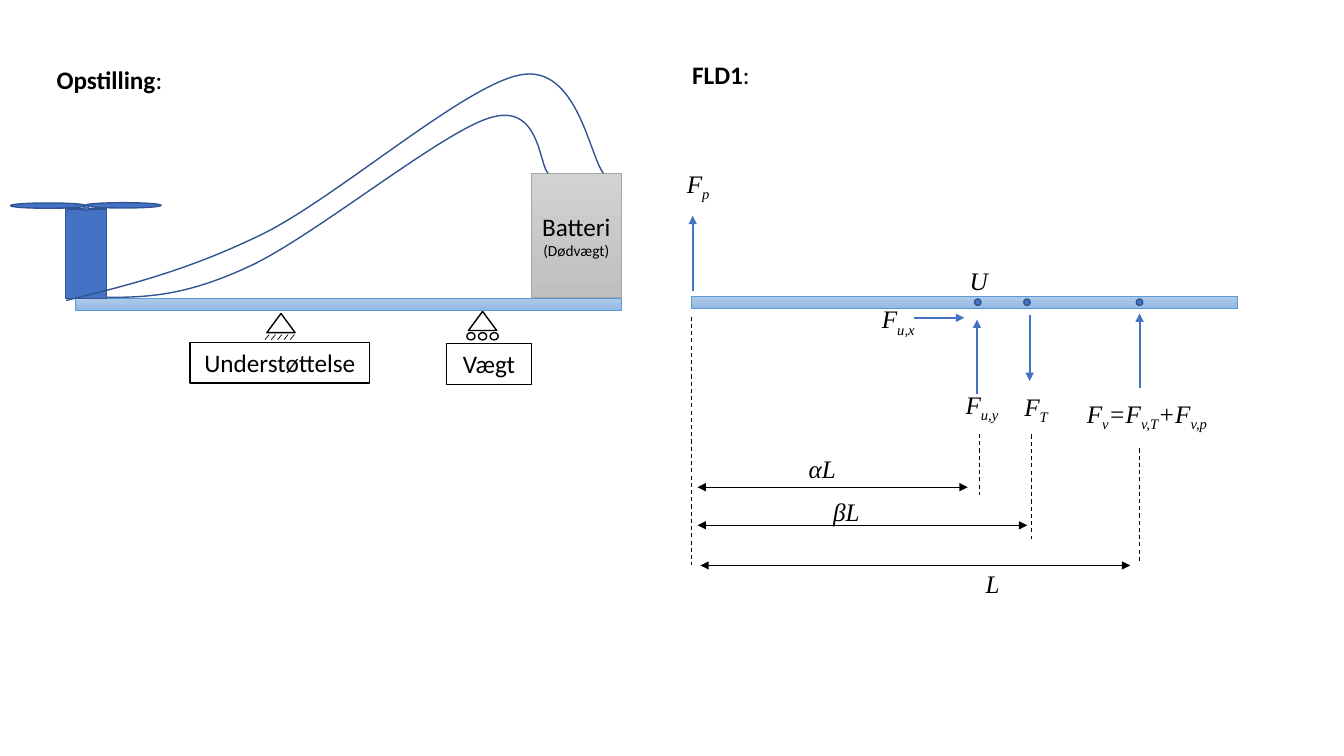
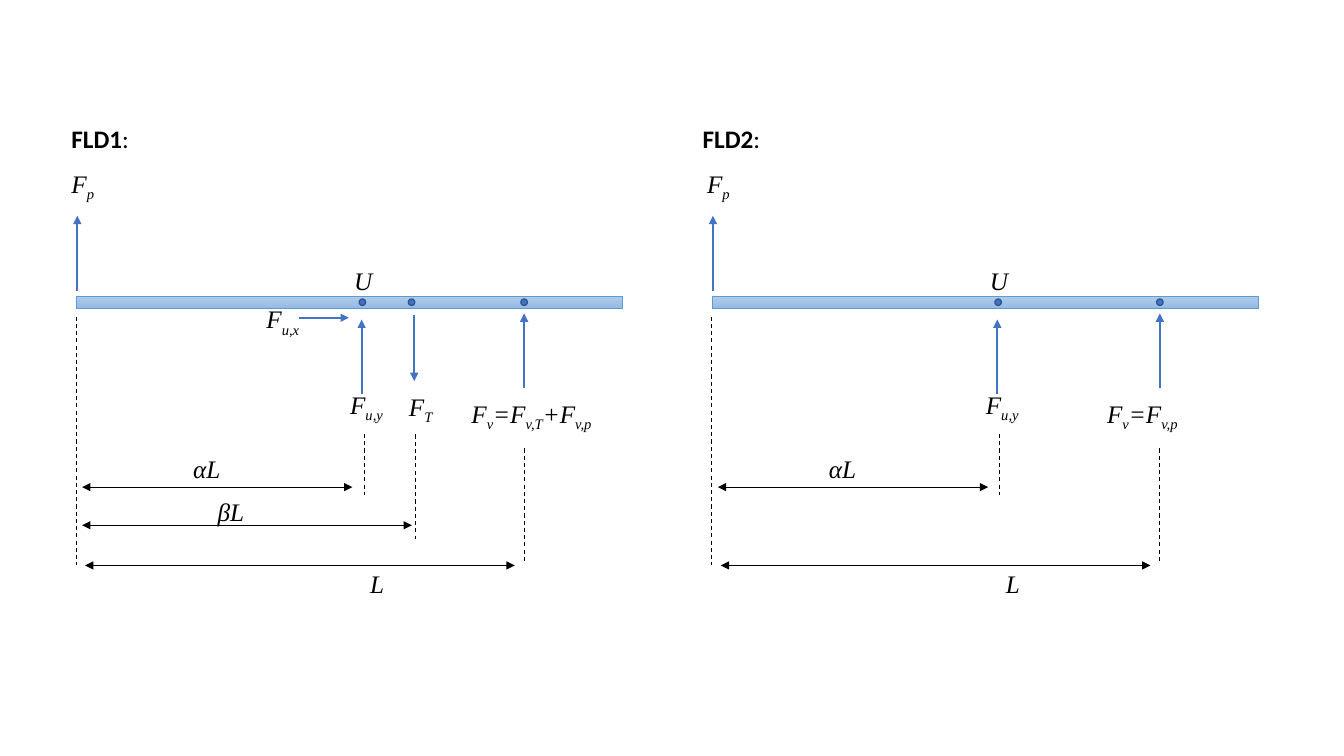
from dataclasses import dataclass

from lxml.etree import SubElement
from pptx import Presentation
from pptx.dml.color import RGBColor
from pptx.enum.dml import MSO_LINE_DASH_STYLE as Dash
from pptx.enum.shapes import MSO_CONNECTOR as Connector, MSO_SHAPE as Shape
from pptx.enum.text import MSO_ANCHOR as Anchor, PP_ALIGN as Align
from pptx.oxml.ns import qn
from pptx.util import Pt


@dataclass(frozen=True)
class Theme:
    black: str = "000000"
    white: str = "FFFFFF"
    force: str = "4472C4"
    outline: str = "325491"
    beam: tuple = ("B1CBE9", "93B9E4")
    beam_edge: str = "5B9BD5"
    battery: tuple = ("D2D2D2", "C0C0C0")
    battery_edge: str = "A5A5A5"
    sans: str = "Calibri"
    serif: str = "Times New Roman"
    body: float = 18
    small: float = 11
    hairline: float = 0.5
    guide: float = 0.75
    thin: float = 1
    thick: float = 1.5


THEME = Theme()
BEAM_WIDTH, BEAM_HEIGHT = 390.2, 8.8
TEXT_HEIGHT = 29.08


@dataclass(frozen=True)
class Box:
    page: object
    left: float
    top: float

    def place(self, x, y):
        return Pt(self.left + x), Pt(self.top + y)


def write(para, text, font=THEME.sans, size=THEME.body, bold=False,
          italic=False, subscripts=False, align=Align.LEFT):
    para.alignment = align
    for index, piece in enumerate(text.split("|")):
        span = para.add_run()
        span.text = piece
        span.font.name, span.font.size = font, Pt(size)
        span.font.color.rgb = RGBColor.from_string(THEME.black)
        span.font.italic = italic
        span.font.bold = bold and index % 2 == 0
        if subscripts and index % 2:
            span._r.get_or_add_rPr().set("baseline", "-25000")


def label(box, text, x, y, width, wrap=True, **style):
    frame = box.page.shapes.add_textbox(
        *box.place(x, y), Pt(width), Pt(TEXT_HEIGHT)).text_frame
    frame.word_wrap = wrap
    write(frame.paragraphs[0], text, **style)


def symbol(box, text, x, y, width, wrap=False):
    label(box, text, x, y, width, wrap,
          font=THEME.serif, italic=True, subscripts=True)


def heading(box, text, x, y, width):
    label(box, text, x, y, width, bold=True)


def finish(shape, fill, edge, weight):
    shape.shadow.inherit = False
    if fill is None:
        shape.fill.background()
    elif isinstance(fill, tuple):
        shape.fill.gradient()
        shape.fill.gradient_angle = 270
        for stop, color in zip(shape.fill.gradient_stops, fill):
            stop.color.rgb = RGBColor.from_string(color)
    else:
        shape.fill.solid()
        shape.fill.fore_color.rgb = RGBColor.from_string(fill)
    shape.line.color.rgb = RGBColor.from_string(edge)
    shape.line.width = Pt(weight)
    return shape


def solid(box, kind, x, y, width, height, fill=THEME.force,
          edge=THEME.outline, weight=THEME.thin):
    shape = box.page.shapes.add_shape(
        kind, *box.place(x, y), Pt(width), Pt(height))
    return finish(shape, fill, edge, weight)


def line(box, start, end, color=THEME.black, weight=THEME.hairline,
         dash=None, heads=()):
    stroke = box.page.shapes.add_connector(
        Connector.STRAIGHT, *box.place(*start), *box.place(*end))
    stroke.line.color.rgb = RGBColor.from_string(color)
    stroke.line.width = Pt(weight)
    if dash:
        stroke.line.dash_style = dash
    for head in heads:
        SubElement(stroke.line._get_or_add_ln(), qn("a:" + head)).set("type", "triangle")
    SubElement(stroke._element.spPr, qn("a:effectLst"))


def force(box, start, end):
    line(box, start, end, THEME.force, THEME.thick, heads=("tailEnd",))


def dimension(box, left, right, y):
    line(box, (left, y), (right, y), heads=("headEnd", "tailEnd"))


def guide(box, x, top, bottom):
    line(box, (x, top), (x, bottom), weight=THEME.guide, dash=Dash.DASH)


def beam(box):
    solid(box, Shape.RECTANGLE, 0, 0, BEAM_WIDTH, BEAM_HEIGHT,
          THEME.beam, THEME.beam_edge, THEME.hairline)


def dot(box, x):
    size = 4.6
    solid(box, Shape.OVAL, x - size / 2, 1.9, size, size)


def force_diagram(box, title, title_at, with_weight=True):
    heading(box, title, *title_at, 64)
    beam(box)

    force(box, (0.8, -3.6), (0.8, -57.6))
    symbol(box, "F|p", -10.5, -95, 31.7)
    guide(box, 0, 14.5, 192)

    dot(box, 204.5)
    symbol(box, "U", 191.5, -26, 27.4, wrap=True)
    force(box, (203.9, 69.8), (203.9, 16.6))
    symbol(box, "F|u,y", 188.6, 62.6, 40.3)
    guide(box, 205.7, 98.3, 142)
    dimension(box, 4.3, 197.3, 136.3)
    symbol(box, "αL", 76.5, 108.6, 35.3)

    dot(box, 320)
    force(box, (320, 65.5), (320, 12.2))
    guide(box, 320, 108.6, 190)
    dimension(box, 6.3, 313.3, 192.2)
    symbol(box, "L", 203, 190.4, 24.5)

    if with_weight:
        symbol(box, "F|v|=F|v,T|+F|v,p", 275.2, 69, 106)
        force(box, (159.2, 15.3), (194.8, 15.3))
        symbol(box, "F|u,x", 128.8, 1.6, 42.5, wrap=True)
        dot(box, 239.6)
        force(box, (241.5, 13), (241.5, 60.5))
        symbol(box, "F|T", 230.6, 64.4, 32.4)
        guide(box, 242.5, 98.6, 173.5)
        dimension(box, 4.3, 239.8, 163.5)
        symbol(box, "βL", 94, 139.3, 49, wrap=True)
    else:
        symbol(box, "F|v|=F|v,p", 275.2, 69, 68.4)


def caption(shape, *lines, anchor=Anchor.TOP):
    frame = shape.text_frame
    frame.word_wrap = False
    frame.vertical_anchor = anchor
    for index, (text, size) in enumerate(lines):
        para = frame.add_paragraph() if index else frame.paragraphs[0]
        write(para, text, size=size, align=Align.CENTER)


def bend(box, start, controls, top, bottom):
    end = controls[-1]
    corners = [(end[0], top), (end[0], bottom), (start[0], bottom)]
    builder = box.page.shapes.build_freeform(*box.place(*start))
    builder.add_line_segments([box.place(*corner) for corner in corners], close=False)
    wire = finish(builder.convert_to_shape(), None, THEME.outline, THEME.thin)
    route = next(wire._element.iter(qn("a:path")))
    for segment in route.findall(qn("a:lnTo")):
        route.remove(segment)
    for first in range(0, len(controls), 3):
        curve = SubElement(route, qn("a:cubicBezTo"))
        for spot in controls[first:first + 3]:
            x, y = box.place(*spot)
            point = SubElement(curve, qn("a:pt"))
            point.set("x", str(x - wire.left))
            point.set("y", str(y - wire.top))


def support(box, x, y, name, name_x, name_y, name_width):
    solid(box, Shape.ISOSCELES_TRIANGLE, x, y, 20.2, 13.7, THEME.white, THEME.black)
    plate = solid(box, Shape.RECTANGLE, name_x, name_y, name_width, TEXT_HEIGHT,
                  THEME.white, THEME.black)
    caption(plate, (name, THEME.body))


def setup(box):
    heading(box, "Opstilling|:", -19.8, -170, 93.6)

    support(box, 137.5, 11.5, "Understøttelse", 82.6, 32.2, 128.4)
    for index in range(5):
        x = 139.2 + 4.5 * index
        line(box, (x, 26.6), (x - 3, 30.2))
    support(box, 281.5, 10, "Vægt", 265.7, 33.2, 61)
    for index in range(3):
        solid(box, Shape.OVAL, 280.4 + 8.3 * index, 25.2, 5.8, 5.2,
              THEME.white, THEME.black)

    beam(Box(box.page, box.left + 0.8, box.top + 0.4))
    solid(box, Shape.RECTANGLE, -6.2, -63.2, 29.3, 64)
    solid(box, Shape.OVAL, -45.6, -67.4, 54, 3.8)
    solid(box, Shape.OVAL, 8, -67.6, 54, 3.8)
    solid(box, Shape.RECTANGLE, 6.5, -65.5, 3.6, 3.6)

    battery = solid(box, Shape.RECTANGLE, 326.5, -88.6, 64.3, 88.6,
                    THEME.battery, THEME.battery_edge, THEME.hairline)
    caption(battery, ("Batteri", THEME.body), ("(Dødvægt)", THEME.small),
            anchor=Anchor.MIDDLE)

    bend(box, (23, 0),
         [(51, 0), (79.2, -0.7), (125.3, -22.3), (170.6, -43.2),
          (261.4, -117.4), (296.6, -128.2), (332.6, -139.7),
          (331.9, -94.3), (338.4, -88.6)], top=-130.3, bottom=0)
    bend(box, (-5.8, 2.2),
         [(38.2, -8.6), (82, -19.4), (136, -46), (190, -73.4),
          (279.4, -152), (319, -159), (359.3, -166.3),
          (367.9, -100.8), (378, -88.6)], top=-159.8, bottom=2.2)


def main():
    deck = Presentation()
    deck.slide_width, deck.slide_height = Pt(960), Pt(540)
    blank = deck.slide_layouts[6]

    page = deck.slides.add_slide(blank)
    setup(Box(page, 53.1, 212.4))
    force_diagram(Box(page, 494, 211.7), "FLD1|:", (-6.7, -172.7))

    page = deck.slides.add_slide(blank)
    force_diagram(Box(page, 54.4, 211.7), "FLD1|:", (-10.5, -127.3))
    force_diagram(Box(page, 508.5, 211.7), "FLD2|:", (-13.7, -127.3), with_weight=False)

    deck.save("out.pptx")


if __name__ == "__main__":
    main()
